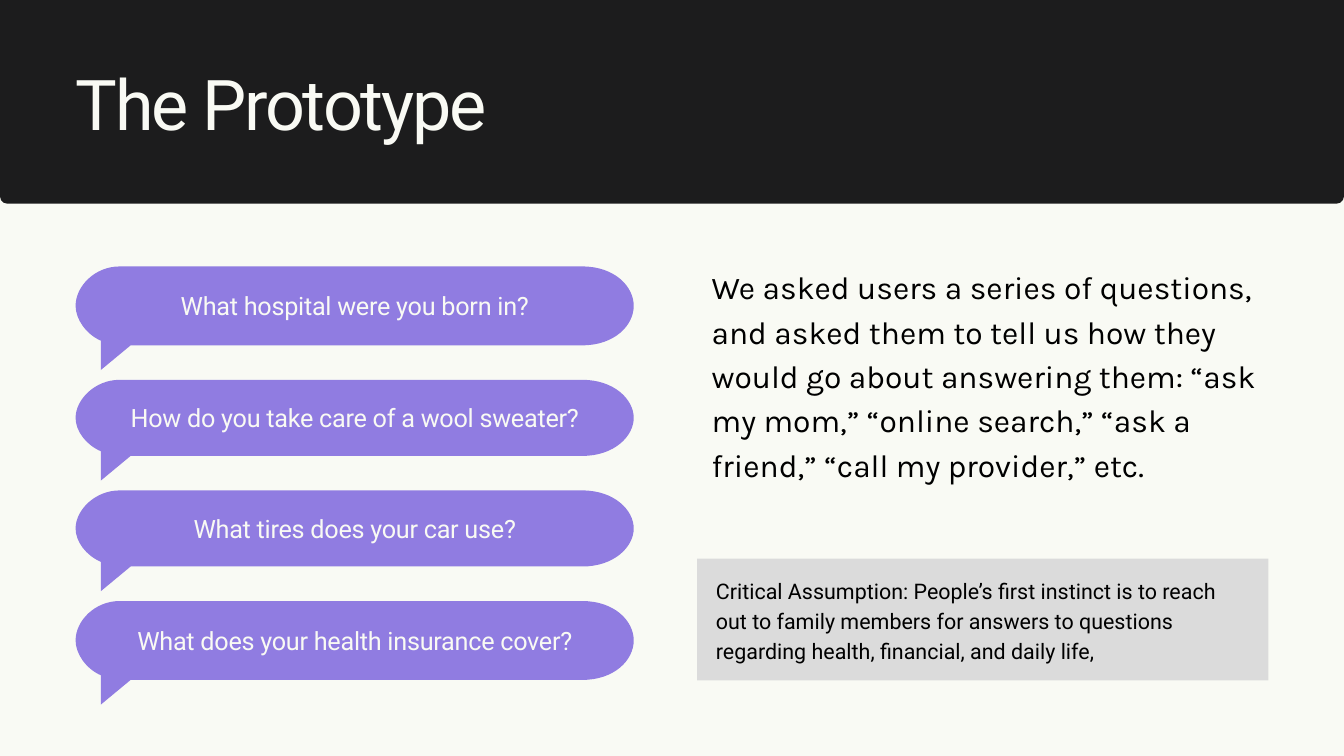
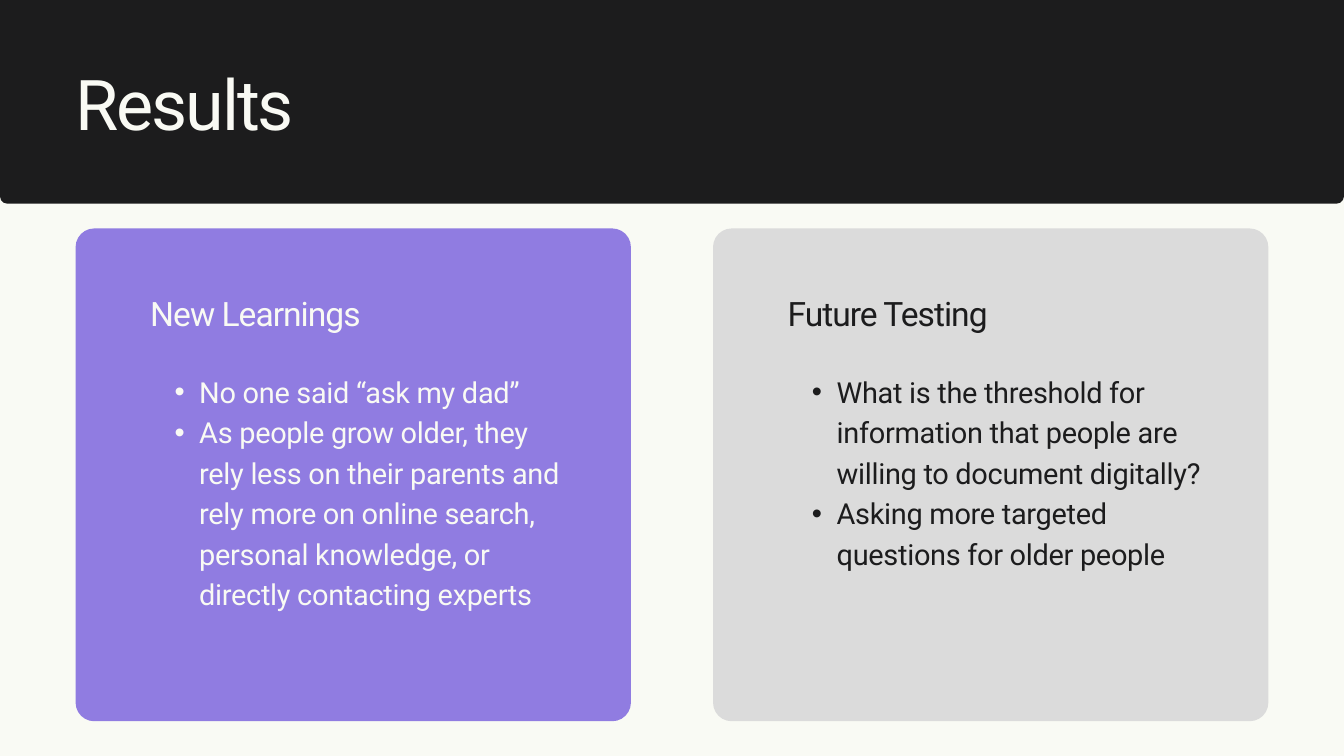
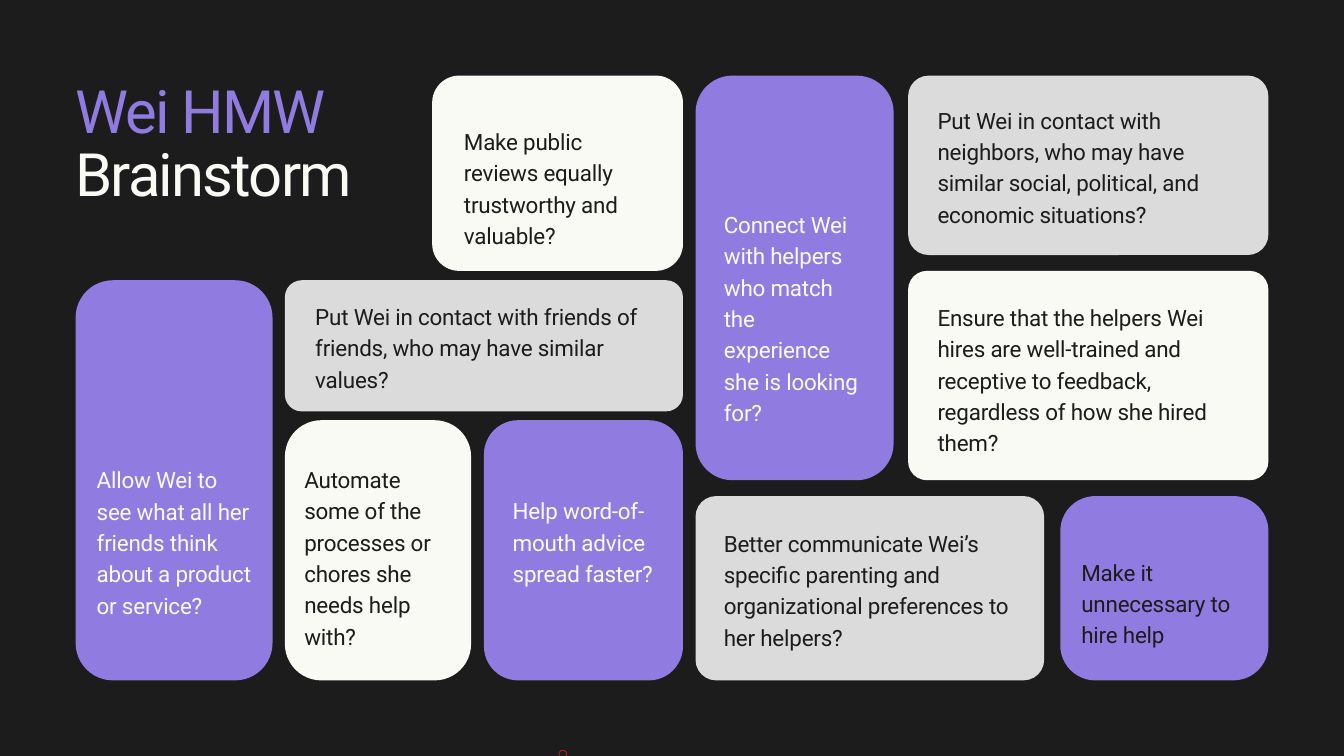
from dataclasses import dataclass

from lxml.etree import SubElement
from pptx import Presentation
from pptx.dml.color import RGBColor
from pptx.enum.shapes import MSO_SHAPE
from pptx.enum.text import MSO_ANCHOR, MSO_AUTO_SIZE, PP_ALIGN
from pptx.oxml.ns import qn
from pptx.util import Pt


@dataclass(frozen=True)
class Style:
    size: float
    leading: float = 1.4
    tracking: float = 0
    font: str = "Roboto"


class Theme:
    paper, ink, black = "F9FAF4", "1C1C1D", "000000"
    purple, grey, red = "907CE1", "DBDBDB", "E7191F"
    title = Style(75, 1.25, -0.03)
    board_title = Style(64, 1.06, -0.03)
    heading = Style(36, 1.25, -0.03)
    intro = Style(34, font="Karla")
    bullets = Style(31, tracking=-0.01)
    question = Style(27, tracking=-0.01)
    idea = Style(24, tracking=-0.01)
    note = Style(23)
    bullet_font = "Arial"


WIDTH, HEIGHT, MARGIN = 1440, 810, 81
CORNER_INSET = 0.29  # share of the radius a rounded rectangle keeps free of text


def rgb(color):
    return RGBColor.from_string(color)


def points(*lengths):
    return [Pt(length) for length in lengths]


# Text
def write(frame, text, style, color, first_color=None, align=PP_ALIGN.LEFT,
          anchor=MSO_ANCHOR.TOP, margins=(0, 0, 0, 0), bulleted=False):
    """Fill a frame with one string or a list of paragraphs."""
    frame.word_wrap = True
    frame.auto_size = MSO_AUTO_SIZE.NONE
    frame.vertical_anchor = anchor
    (frame.margin_left, frame.margin_top,
     frame.margin_right, frame.margin_bottom) = points(*margins)
    lines = [text] if isinstance(text, str) else text
    for index, line in enumerate(lines):
        paragraph = frame.add_paragraph() if index else frame.paragraphs[0]
        if bulleted:
            add_bullet(paragraph)
        paragraph.alignment = align
        paragraph.line_spacing = Pt(round(style.size * style.leading, 1))
        run = paragraph.add_run()
        run.text = line
        run.font.size, run.font.name = Pt(style.size), style.font
        run.font.color.rgb = rgb(first_color if first_color and not index else color)
        if style.tracking:
            spacing = round(style.size * style.tracking * 100)
            run._r.get_or_add_rPr().set("spc", str(spacing))


def add_bullet(paragraph):
    properties = paragraph._p.get_or_add_pPr()
    properties.set("marL", str(Pt(52.5)))
    properties.set("indent", str(-Pt(26.5)))
    SubElement(properties, qn("a:buFont")).set("typeface", Theme.bullet_font)
    SubElement(properties, qn("a:buChar")).set("char", "•")


def add_text(slide, box, text, style, color, **options):
    write(slide.shapes.add_textbox(*points(*box)).text_frame, text, style, color, **options)


# Shapes
def paint(shape, color):
    shape.shadow.inherit = False
    shape.fill.solid()
    shape.fill.fore_color.rgb = rgb(color)
    shape.line.fill.background()
    return shape


def add_panel(slide, box, color, radius=0):
    kind = MSO_SHAPE.ROUNDED_RECTANGLE if radius else MSO_SHAPE.RECTANGLE
    panel = paint(slide.shapes.add_shape(kind, *points(*box)), color)
    if radius:
        panel.adjustments[0] = radius / min(box[2:])
    return panel


def add_outline(slide, left, top, start, segments):
    """Draw segments of one point (line) or three points (cubic curve)."""
    corners = [(x * 100, y * 100) for segment in segments for x, y in segment]
    builder = slide.shapes.build_freeform(start[0] * 100, start[1] * 100, scale=Pt(1) / 100)
    builder.add_line_segments(corners, close=True)
    shape = builder.convert_to_shape(*points(left, top))
    steps = iter(list(shape._element.iter(qn("a:lnTo"))))
    for segment in segments:
        first, *others = [next(steps) for _ in segment]
        if others:
            first.tag = qn("a:cubicBezTo")
            for other in others:
                first.append(other[0])
                other.getparent().remove(other)
    return shape


def add_bubble(slide, box, question, tail=26.5):
    left, top, width, height = box
    body = height - tail
    middle, neck = body / 2, body - 5
    outline = [
        [(47, 0)],
        [(21, 0), (0, 21), (0, middle)],
        [(0, middle + 14), (11, neck - 7), (27, neck)],
        [(27, height)],
        [(59, body)],
        [(width - 55, body)],
        [(width - 21, body), (width, body - 21), (width, middle)],
        [(width, 21), (width - 21, 0), (width - 55, 0)],
    ]
    bubble = paint(add_outline(slide, left, top, (width - 55, 0), outline), Theme.purple)
    write(bubble.text_frame, question, Theme.question, Theme.paper,
          align=PP_ALIGN.CENTER, anchor=MSO_ANCHOR.MIDDLE, margins=(4, 0, 4, tail + 6.5))


# Slide frames
def start_slide(deck, background, title, title_box, style, **options):
    slide = deck.slides.add_slide(deck.slide_layouts[5])
    slide.background.fill.solid()
    slide.background.fill.fore_color.rgb = rgb(background)
    heading = slide.shapes.title
    heading.left, heading.top, heading.width, heading.height = points(*title_box)
    write(heading.text_frame, title, style, Theme.paper, **options)
    return slide


def start_banded_slide(deck, title):
    slide = start_slide(deck, Theme.paper, title, (MARGIN, 61, 926, 93), Theme.title)
    band = add_panel(slide, (0, -38.25, WIDTH, 256.5), Theme.ink, radius=8)
    slide.shapes._spTree.insert(2, band._element)  # behind the title
    return slide


# Slide 1
def add_questions(slide, box, questions, gap=10.5):
    left, top, width, _ = box
    for question, height in questions:
        add_bubble(slide, (left, top, width, height), question)
        top += height + gap


def build_prototype(deck):
    slide = start_banded_slide(deck, "The Prototype")
    add_questions(slide, (MARGIN, 285.5, 598, 470), [
        ("What hospital were you born in?", 111),
        ("How do you take care of a wool sweater?", 108),
        ("What tires does your car use?", 108),
        ("What does your health insurance cover?", 111),
    ])
    add_text(slide, (762.5, 280.25, 596, 282),
             "We asked users a series of questions, and asked them to tell us how they "
             "would go about answering them: “ask my mom,” “online search,” “ask a "
             "friend,” “call my provider,” etc.", Theme.intro, Theme.black)
    assumption = add_panel(slide, (747, 598.5, 612, 130.5), Theme.grey)
    write(assumption.text_frame,
          "Critical Assumption: People’s first instinct is to reach out to family members "
          "for answers to questions regarding health, financial, and daily life,",
          Theme.note, Theme.black, anchor=MSO_ANCHOR.MIDDLE, margins=(20, 18, 20, 20))


# Slide 2
def add_findings(slide, box, heading, findings, fill, color):
    left, top, width, height = box
    add_panel(slide, box, fill, radius=20)
    add_text(slide, (left + 80, top + 67, 418, 45), heading, Theme.heading, color)
    add_text(slide, (left + 80, top + 150, 448.5, 297), findings, Theme.bullets,
             color, bulleted=True)


def build_results(deck):
    slide = start_banded_slide(deck, "Results")
    cards = [
        ("New Learnings",
         ["No one said “ask my dad”",
          "As people grow older, they rely less on their parents and rely more on "
          "online search, personal knowledge, or directly contacting experts"],
         Theme.purple, Theme.paper),
        ("Future Testing",
         ["What is the threshold for information that people are willing to "
          "document digitally?",
          "Asking more targeted questions for older people"],
         Theme.grey, Theme.ink),
    ]
    width = 595
    pitch = WIDTH - 2 * MARGIN - width
    for index, card in enumerate(cards):
        add_findings(slide, (MARGIN + index * pitch, 244.75, width, 528), *card)


# Slide 3
def add_idea(slide, box, idea, fill, color, radius, pads):
    """A tile whose pads give the free space left, above and right of its text."""
    tile = add_panel(slide, box, fill, radius)
    inset = CORNER_INSET * radius
    left, top, right = (round(pad - inset, 2) for pad in pads)
    write(tile.text_frame, idea, Theme.idea, color, margins=(left, top, right, 0))


def build_brainstorm(deck):
    slide = start_slide(deck, Theme.ink, ["Wei HMW", "Brainstorm"], (MARGIN, 88, 344, 137.5),
                        Theme.board_title, first_color=Theme.purple)
    purple = (Theme.purple, Theme.paper)
    purple_dark = (Theme.purple, Theme.ink)
    grey = (Theme.grey, Theme.ink)
    white = (Theme.paper, Theme.ink)
    second, middle, right = 305.25, 745.25, 973  # left edges of the columns
    ideas = [
        ((MARGIN, 300.25, 211, 428.75),
         "Allow Wei to see what all her friends think about a product or service?",
         purple, 40, (22.5, 194.5, 22)),
        ((second, 300.25, 426.5, 140.5),
         "Put Wei in contact with friends of friends, who may have similar values?",
         grey, 18, (32.5, 19.5, 31)),
        ((second, 450.25, 199.5, 278.75),
         "Automate some of the processes or chores she needs help with?",
         white, 39, (20.75, 44.25, 20)),
        ((518.5, 450.25, 213.25, 278.75),
         "Help word-of-mouth advice spread faster?",
         purple, 36.5, (30.75, 77.75, 30.5)),
        ((463, MARGIN, 268.75, 209.25),
         "Make public reviews equally trustworthy and valuable?",
         white, 29, (34, 51.5, 33.5)),
        ((middle, MARGIN, 212.25, 433.5),
         "Connect Wei with helpers who match the experience she is looking for?",
         purple, 39.5, (30.25, 140.25, 31)),
        ((right, MARGIN, 386, 192.25),
         "Put Wei in contact with neighbors, who may have similar social, political, "
         "and economic situations?",
         grey, 22, (31.5, 28.5, 46)),
        ((right, 290.25, 386, 224.25),
         "Ensure that the helpers Wei hires are well-trained and receptive to feedback, "
         "regardless of how she hired them?",
         white, 20, (31.5, 30.75, 46)),
        ((middle, 531.5, 373.5, 197.5),
         "Better communicate Wei’s specific parenting and organizational preferences "
         "to her helpers?",
         grey, 22, (30.25, 31.25, 28)),
        ((1136, 531.5, 223, 197.5),
         "Make it unnecessary to hire help",
         purple_dark, 37.5, (22.5, 62.25, 33.5)),
    ]
    for box, idea, colors, radius, pads in ideas:
        add_idea(slide, box, idea, *colors, radius, pads)

    # Small red ring at the lower edge
    ring = paint(slide.shapes.add_shape(MSO_SHAPE.DONUT, *points(598.5, 803.5, 9, 9)), Theme.red)
    ring.adjustments[0] = 0.08


def main():
    deck = Presentation()
    deck.slide_width, deck.slide_height = points(WIDTH, HEIGHT)
    build_prototype(deck)
    build_results(deck)
    build_brainstorm(deck)
    deck.save("out.pptx")


if __name__ == "__main__":
    main()
